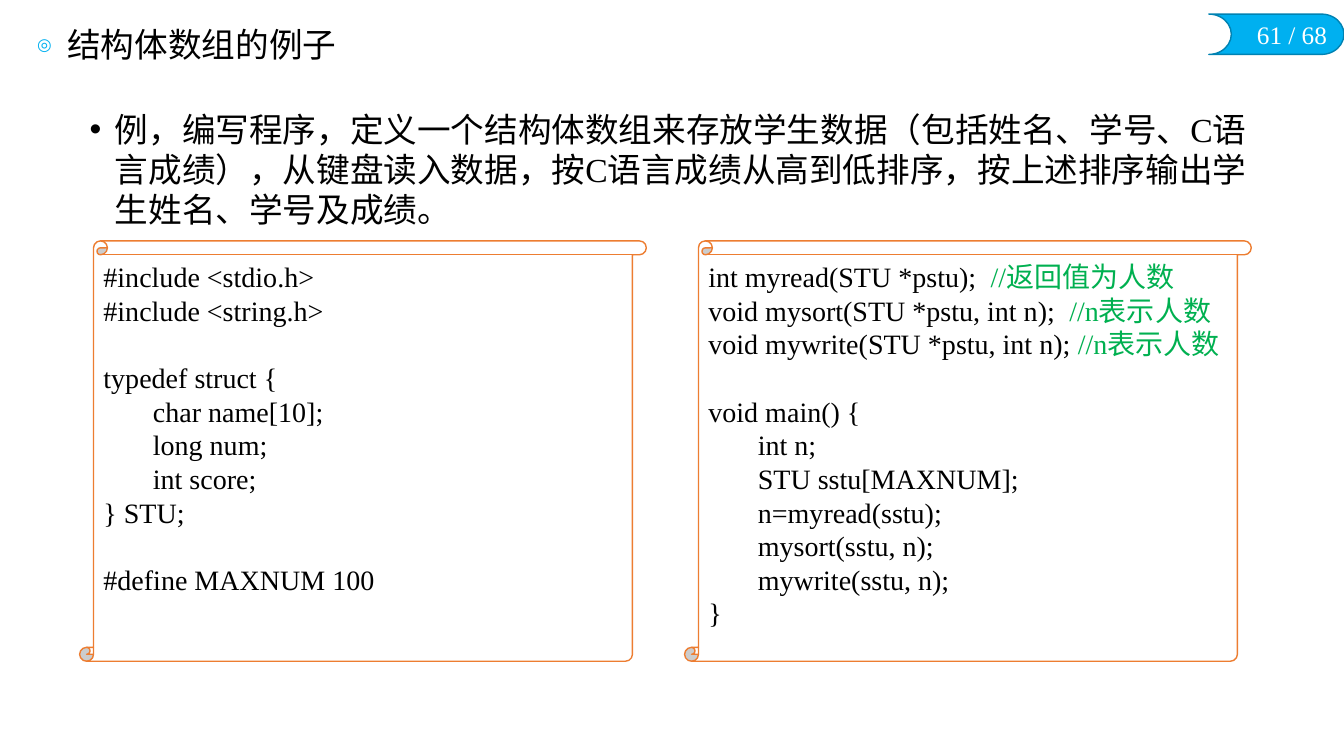
from dataclasses import dataclass

from lxml.etree import SubElement
from pptx import Presentation
from pptx.dml.color import RGBColor
from pptx.enum.shapes import MSO_SHAPE
from pptx.enum.text import MSO_ANCHOR, MSO_AUTO_SIZE, PP_ALIGN
from pptx.oxml.ns import qn
from pptx.util import Emu, Pt

PX = 9144


@dataclass(frozen=True)
class Theme:
    font: str = "Times New Roman"
    ink: str = "000000"
    paper: str = "FFFFFF"
    accent: str = "00B0F0"
    accent_edge: str = "0082B2"
    scroll_edge: str = "ED7D31"
    comment: str = "00B050"
    text_pt: int = 24
    code_pt: int = 20
    page_pt: int = 18
    leading: float = 1.2


THEME = Theme()


@dataclass(frozen=True)
class Box:
    left: int
    top: int
    width: int
    height: int

    def emu(self) -> list[Emu]:
        return [Emu(v * PX) for v in (self.left, self.top, self.width, self.height)]


@dataclass(frozen=True)
class Bullet:
    char: str
    indent: int
    color: str
    percent: int


@dataclass(frozen=True)
class CodeScroll:
    left: int
    code: str


TITLE = "结构体数组的例子"
TASK = (
    "例，编写程序，定义一个结构体数组来存放学生数据（包括姓名、学号、C语言成绩），"
    "从键盘读入数据，按C语言成绩从高到低排序，按上述排序输出学生姓名、学号及成绩。"
)
SCROLLS = (
    CodeScroll(79, """#include <stdio.h>
#include <string.h>

typedef struct {
\tchar name[10];
\tlong num;
\tint score;
} STU;

#define MAXNUM 100"""),
    CodeScroll(679, """int myread(STU *pstu);  //返回值为人数
void mysort(STU *pstu, int n);  //n表示人数
void mywrite(STU *pstu, int n); //n表示人数

void main() {
\tint n;
\tSTU sstu[MAXNUM];
\tn=myread(sstu);
\tmysort(sstu, n);
\tmywrite(sstu, n);
}"""),
)


def style_run(r, size: int, color: str) -> None:
    r.font.name = THEME.font
    r.font.size = Pt(size)
    r.font.color.rgb = RGBColor.from_string(color)


def add_bullet(p, bullet: Bullet) -> None:
    pPr = p._p.get_or_add_pPr()
    pPr.set("marL", str(bullet.indent * PX))
    pPr.set("indent", str(-bullet.indent * PX))
    clr = SubElement(pPr, qn("a:buClr"))
    SubElement(clr, qn("a:srgbClr"), val=bullet.color)
    SubElement(pPr, qn("a:buSzPct"), val=str(bullet.percent * 1000))
    SubElement(pPr, qn("a:buFont"), typeface="Arial")
    SubElement(pPr, qn("a:buChar"), char=bullet.char)


def add_tabs(p, step: int = 49, count: int = 4) -> None:
    tabs = SubElement(p._p.get_or_add_pPr(), qn("a:tabLst"))
    for i in range(1, count + 1):
        SubElement(tabs, qn("a:tab"), pos=str(i * step * PX), algn="l")


def add_text(slide, box: Box, text: str, size: int, color: str):
    tf = slide.shapes.add_textbox(*box.emu()).text_frame
    tf.word_wrap = True
    tf.text = text
    style_run(tf.paragraphs[0].runs[0], size, color)
    return tf


def add_outlined(slide, kind: MSO_SHAPE, box: Box, fill: str, edge: str):
    s = slide.shapes.add_shape(kind, *box.emu())
    s.shadow.inherit = False
    s.fill.solid()
    s.fill.fore_color.rgb = RGBColor.from_string(fill)
    s.line.color.rgb = RGBColor.from_string(edge)
    s.line.width = Pt(1)
    return s


def draw_page_number(slide) -> None:
    s = add_outlined(slide, MSO_SHAPE.FLOWCHART_STORED_DATA, Box(1199, 14, 134, 40),
                     THEME.accent, THEME.accent_edge)
    s._element.spPr.get_or_add_xfrm().set("flipH", "1")
    tf = add_text(slide, Box(1231, 14, 95, 40), "61 / 68", THEME.page_pt, THEME.paper)
    tf.word_wrap = False
    tf.auto_size = MSO_AUTO_SIZE.SHAPE_TO_FIT_TEXT
    tf.paragraphs[0].alignment = PP_ALIGN.RIGHT


def draw_title(slide) -> None:
    tf = add_text(slide, Box(27, 23, 637, 46), TITLE, THEME.text_pt, THEME.ink)
    tf.vertical_anchor = MSO_ANCHOR.MIDDLE
    p = tf.paragraphs[0]
    add_bullet(p, Bullet("◎", 30, THEME.accent, 50))
    p.line_spacing = 0.9


def draw_task(slide) -> None:
    tf = add_text(slide, Box(79, 103, 1171, 607), TASK, THEME.text_pt, THEME.ink)
    p = tf.paragraphs[0]
    add_bullet(p, Bullet("•", 25, THEME.ink, 100))
    p.line_spacing = Pt(THEME.text_pt * THEME.leading)
    p.space_after = Pt(6)


def draw_scroll(slide, scroll: CodeScroll) -> None:
    s = add_outlined(slide, MSO_SHAPE.VERTICAL_SCROLL, Box(scroll.left, 239, 562, 417),
                     THEME.paper, THEME.scroll_edge)
    s.adjustments[0] = 0.033
    tf = s.text_frame
    tf.word_wrap = True
    tf.vertical_anchor = MSO_ANCHOR.TOP
    for i, line in enumerate(scroll.code.split("\n")):
        p = tf.add_paragraph() if i else tf.paragraphs[0]
        p.alignment = PP_ALIGN.LEFT
        add_tabs(p)
        p.line_spacing = Pt(THEME.code_pt * THEME.leading)
        code, mark, note = line.partition("//")
        if not code:
            p._p.get_or_add_endParaRPr().set("sz", str(THEME.code_pt * 100))
            continue
        p.text = code
        style_run(p.runs[0], THEME.code_pt, THEME.ink)
        if mark:
            r = p.add_run()
            r.text = mark + note
            style_run(r, THEME.code_pt, THEME.comment)


def main() -> None:
    prs = Presentation()
    prs.slide_width, prs.slide_height = Emu(1333 * PX), Emu(750 * PX)
    slide = prs.slides.add_slide(prs.slide_layouts[6])
    draw_page_number(slide)
    draw_title(slide)
    draw_task(slide)
    for scroll in SCROLLS:
        draw_scroll(slide, scroll)
    prs.save("out.pptx")


if __name__ == "__main__":
    main()
